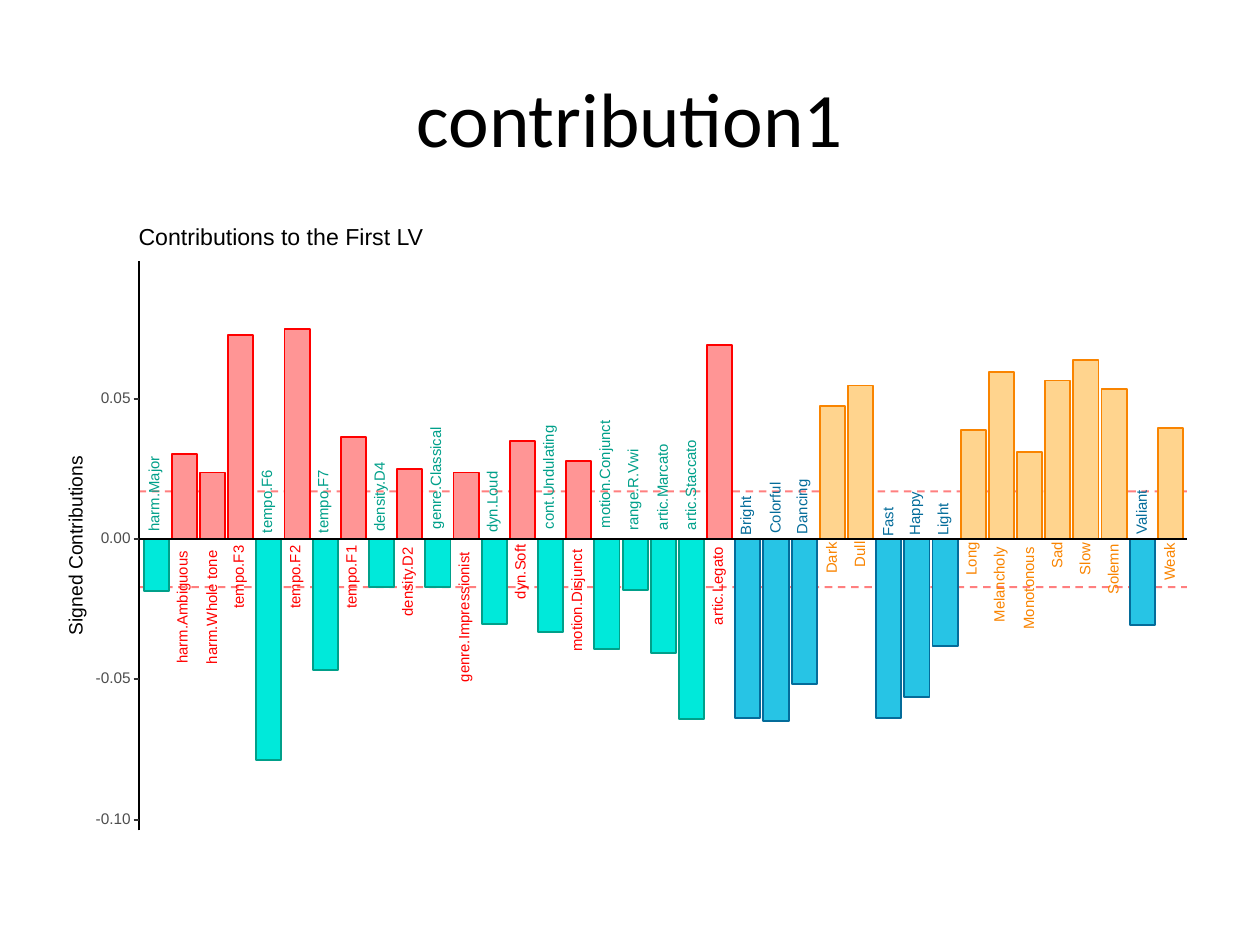
import pptx
import pptx.util
import pptx.dml.color
import pptx.enum.dml
import pptx.enum.shapes
import pptx.enum.text
import pptx.oxml
import pptx.oxml.ns
import lxml.etree

Inches = pptx.util.Inches
Pt = pptx.util.Pt

COLORS = {
    "black": "000000", "white": "FFFFFF", "threshold": "FF0000",
    "tick": "333333", "tick_label": "4D4D4D",
    "teal": "00A08A", "teal_fill": "00E9DA",
    "red": "FF0000", "red_fill": "FF9595",
    "blue": "046C9A", "blue_fill": "27C4E5",
    "orange": "F98400", "orange_fill": "FFD48E",
}
LINE_WIDTH = 1.07
ZERO = 4.28
AXIS_LEFT, AXIS_RIGHT = 1.1, 9.42
FIRST_BAR, LAST_BAR, BAR_WIDTH = 1.14, 9.19, 0.2
LABEL_SLACK = 0.04

# name, colour group, signed bar height, label length
CONTRIBUTIONS = [
    ("harm.Major", "teal", -0.41, 0.6),
    ("harm.Ambiguous", "red", 0.68, 0.9),
    ("harm.Whole tone", "red", 0.53, 0.9),
    ("tempo.F3", "red", 1.62, 0.5),
    ("tempo.F6", "teal", -1.75, 0.5),
    ("tempo.F2", "red", 1.67, 0.5),
    ("tempo.F7", "teal", -1.04, 0.5),
    ("tempo.F1", "red", 0.81, 0.5),
    ("density.D4", "teal", -0.38, 0.56),
    ("density.D2", "red", 0.56, 0.56),
    ("genre.Classical", "teal", -0.38, 0.81),
    ("genre.Impressionist", "red", 0.53, 1.03),
    ("dyn.Loud", "teal", -0.67, 0.49),
    ("dyn.Soft", "red", 0.78, 0.43),
    ("cont.Undulating", "teal", -0.74, 0.82),
    ("motion.Disjunct", "red", 0.62, 0.81),
    ("motion.Conjunct", "teal", -0.87, 0.86),
    ("range.R.Vwi", "teal", -0.4, 0.65),
    ("artic.Marcato", "teal", -0.9, 0.69),
    ("artic.Staccato", "teal", -1.43, 0.72),
    ("artic.Legato", "red", 1.54, 0.62),
    ("Bright", "blue", -1.42, 0.31),
    ("Colorful", "blue", -1.44, 0.41),
    ("Dancing", "blue", -1.15, 0.43),
    ("Dark", "orange", 1.06, 0.25),
    ("Dull", "orange", 1.22, 0.2),
    ("Fast", "blue", -1.42, 0.23),
    ("Happy", "blue", -1.25, 0.34),
    ("Light", "blue", -0.85, 0.26),
    ("Long", "orange", 0.87, 0.26),
    ("Melancholy", "orange", 1.33, 0.6),
    ("Monotonous", "orange", 0.69, 0.65),
    ("Sad", "orange", 1.26, 0.21),
    ("Slow", "orange", 1.42, 0.26),
    ("Solemn", "orange", 1.19, 0.4),
    ("Valiant", "blue", -0.68, 0.36),
    ("Weak", "orange", 0.88, 0.3),
]
TICKS = [("-0.10", 6.51, 0.28), ("-0.05", 5.39, 0.28), ("0.00", ZERO, 0.24), ("0.05", 3.17, 0.24)]


def rgb(name):
    return pptx.dml.color.RGBColor.from_string(COLORS[name])


def add_rectangle(shapes, left, top, width, height, fill, outline):
    rectangle = shapes.add_shape(
        pptx.enum.shapes.MSO_SHAPE.RECTANGLE,
        Inches(left), Inches(top), Inches(width), Inches(height))
    rectangle.shadow.inherit = False
    rectangle.fill.solid()
    rectangle.fill.fore_color.rgb = rgb(fill)
    rectangle.line.color.rgb = rgb(outline)
    rectangle.line.width = Pt(LINE_WIDTH)


def add_line(shapes, x1, y1, x2, y2, color):
    line = shapes.add_connector(
        pptx.enum.shapes.MSO_CONNECTOR.STRAIGHT,
        Inches(x1), Inches(y1), Inches(x2), Inches(y2))
    line.line.color.rgb = rgb(color)
    line.line.width = Pt(LINE_WIDTH)
    lxml.etree.SubElement(line._element.spPr, pptx.oxml.ns.qn("a:effectLst"))
    return line


def add_threshold(shapes, y):
    threshold = add_line(shapes, AXIS_LEFT, y, AXIS_RIGHT, y, "threshold")
    threshold.line.dash_style = pptx.enum.dml.MSO_LINE.DASH
    color = threshold._element.spPr.find(".//" + pptx.oxml.ns.qn("a:srgbClr"))
    lxml.etree.SubElement(color, pptx.oxml.ns.qn("a:alpha"), val="50000")


def add_label(shapes, text, left, top, width, height, size, color):
    label = shapes.add_textbox(Inches(left), Inches(top), Inches(width), Inches(height))
    frame = label.text_frame
    frame.margin_left = frame.margin_right = frame.margin_top = frame.margin_bottom = 0
    frame.vertical_anchor = pptx.enum.text.MSO_ANCHOR.MIDDLE
    frame.word_wrap = False
    frame.text = text
    paragraph = frame.paragraphs[0]
    paragraph.line_spacing = Pt(size)
    font = paragraph.runs[0].font
    font.name, font.size = "Arial", Pt(size)
    font.color.rgb = rgb(color)
    return label


def add_upright_label(shapes, text, center_x, center_y, length, thickness, size, color):
    length += LABEL_SLACK
    label = add_label(shapes, text, center_x - length / 2, center_y - thickness / 2,
                      length, thickness, size, color)
    label.rotation = 270
    label.text_frame.paragraphs[0].alignment = pptx.enum.text.PP_ALIGN.CENTER


def add_title(slide, text):
    title = slide.shapes.add_textbox(Inches(0.5), Inches(0.3), Inches(9), Inches(1.25))
    frame = title.text_frame
    frame.word_wrap = True
    frame.vertical_anchor = pptx.enum.text.MSO_ANCHOR.MIDDLE
    frame.text = text
    paragraph = frame.paragraphs[0]
    paragraph.alignment = pptx.enum.text.PP_ALIGN.CENTER
    font = paragraph.runs[0].font
    font.name, font.size = "Calibri", Pt(44)
    font.color.rgb = rgb("black")


def bar_left(index):
    return FIRST_BAR + index * (LAST_BAR - FIRST_BAR) / (len(CONTRIBUTIONS) - 1)


def add_bars(shapes):
    for index, (_, group, height, _) in enumerate(CONTRIBUTIONS):
        add_rectangle(shapes, bar_left(index), ZERO - max(height, 0),
                      BAR_WIDTH, abs(height), group + "_fill", group)


def add_bar_labels(shapes):
    for index, (name, group, height, length) in enumerate(CONTRIBUTIONS):
        has_descender = any(letter in "gjpqy" for letter in name)
        thickness = 0.11 if has_descender else 0.09
        center_x = bar_left(index) + BAR_WIDTH / 2 - (0.01 if has_descender else 0)
        center_y = ZERO + 0.6 * length * (1 if height > 0 else -1)
        add_upright_label(shapes, name, center_x, center_y, length, thickness, 8.5, group)


def add_axes(shapes):
    add_line(shapes, AXIS_LEFT, ZERO, AXIS_RIGHT, ZERO, "black")
    add_line(shapes, AXIS_LEFT, 6.59, AXIS_LEFT, 2.07, "black")
    for text, y, width in TICKS:
        add_label(shapes, text, 1.04 - width, y - 0.05, width, 0.09, 8.8, "tick_label")
        add_line(shapes, 1.06, y, AXIS_LEFT, y, "tick")
    add_upright_label(shapes, "Signed Contributions", 0.61, 4.33, 1.42, 0.14, 11, "black")


def main():
    presentation = pptx.Presentation()
    presentation.slide_width = Inches(10)
    presentation.slide_height = Inches(7.5)
    slide = presentation.slides.add_slide(presentation.slide_layouts[6])
    add_title(slide, "contribution1")
    plot = slide.shapes.add_group_shape().shapes
    add_rectangle(plot, 0.5, 1.75, 9, 4.95, "white", "white")
    for y in (3.9, 4.66):
        add_threshold(plot, y)
    add_bars(plot)
    add_bar_labels(plot)
    add_axes(plot)
    add_label(plot, "Contributions to the First LV", AXIS_LEFT, 1.82, 2.27, 0.14, 13.2, "black")
    presentation.save("out.pptx")


if __name__ == "__main__":
    main()
